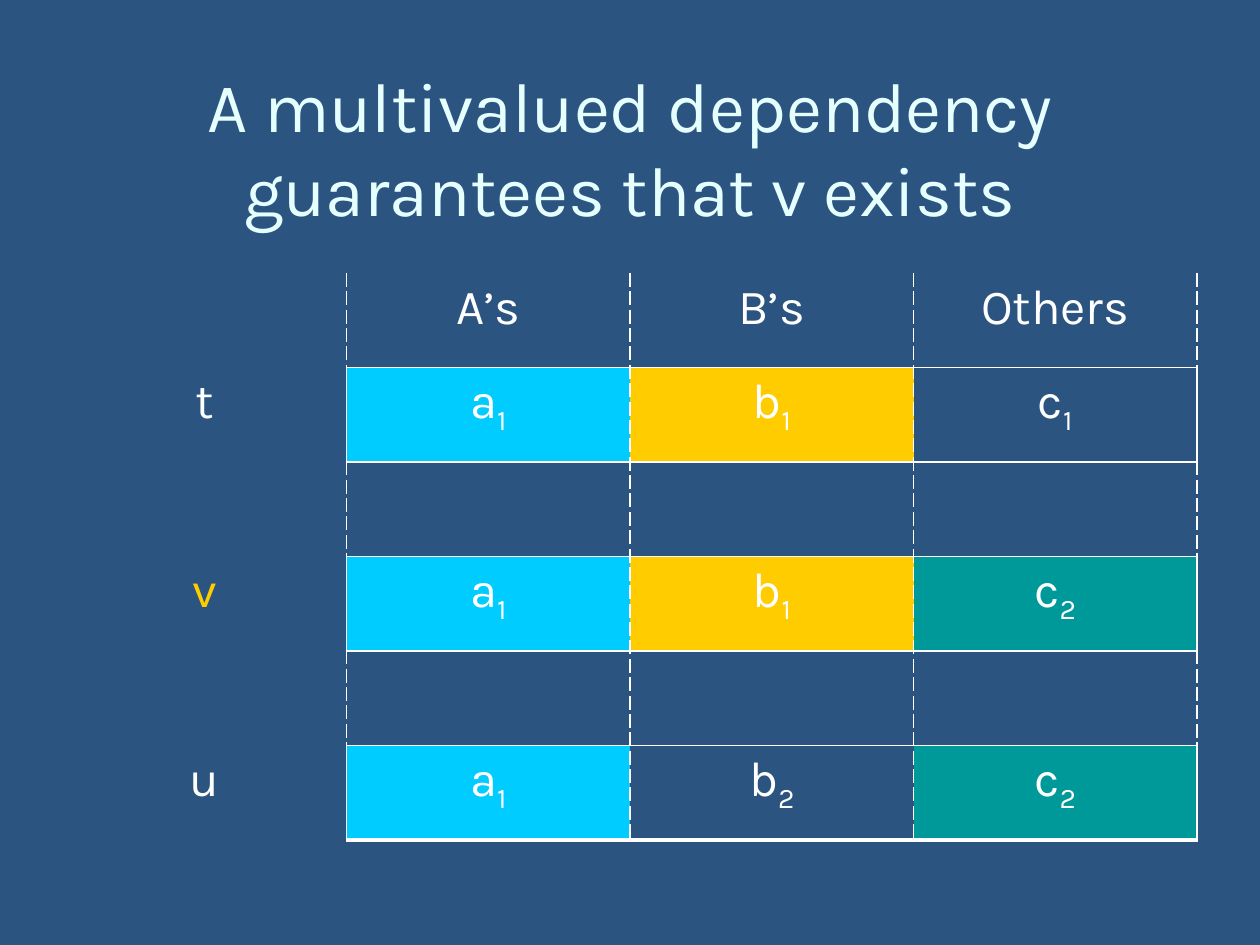
import pptx
import pptx.util
import pptx.dml.color
import pptx.enum.text
import pptx.oxml
import pptx.oxml.ns

Pt = pptx.util.Pt
Color = pptx.dml.color.RGBColor.from_string

THEME = {
    "font": "Karla", "title_size": 40, "cell_size": 28,
    "background": "2B5481", "title": "E5FFFF", "text": "FFFFFF", "line": "FFFFFF",
    "a1": "00CCFF", "b1": "FFCC00", "c2": "009999", "v": "FFCC00",
}
TITLE = "A multivalued dependency guarantees that v exists"
ROWS = [
    ["", "A’s", "B’s", "Others"],
    ["t", "a1", "b1", "c1"],
    ["", "", "", ""],
    ["v", "a1", "b1", "c2"],
    ["", "", "", ""],
    ["u", "a1", "b2", "c2"],
]
COLUMN_WIDTH, ROW_HEIGHT = 162, 54
LAST_ROW, LAST_COLUMN = len(ROWS) - 1, len(ROWS[0]) - 1


def style_run(run, size, color):
    run.font.name = THEME["font"]
    run.font.size = Pt(size)
    run.font.color.rgb = Color(color)


def cell_edges(row, column):
    is_tuple = bool(ROWS[row][0])

    def vertical(edge):
        if edge == 0:
            return None
        solid = is_tuple and edge in (1, LAST_COLUMN + 1)
        return 1, "solid" if solid else "lgDash"

    def horizontal(edge):
        if column == 0 or edge == 0:
            return None
        return 2.25 if edge == LAST_ROW + 1 else 1, "solid"

    return {"L": vertical(column), "R": vertical(column + 1),
            "T": horizontal(row), "B": horizontal(row + 1)}


def draw_edges(cell, edges):
    properties = cell._tc.get_or_add_tcPr()
    namespace = pptx.oxml.ns.nsdecls("a")
    for side, edge in edges.items():
        if edge:
            width, dash = edge
            xml = (f'<a:ln{side} {namespace} w="{Pt(width)}"><a:solidFill>'
                   f'<a:srgbClr val="{THEME["line"]}"/></a:solidFill>'
                   f'<a:prstDash val="{dash}"/></a:ln{side}>')
        else:
            xml = f'<a:ln{side} {namespace} w="0"><a:noFill/></a:ln{side}>'
        properties.append(pptx.oxml.parse_xml(xml))


def write_cell(cell, text):
    paragraph = cell.text_frame.paragraphs[0]
    paragraph.alignment = pptx.enum.text.PP_ALIGN.CENTER
    has_index = text[-1:].isdigit()
    for part in (text[0], text[1:]) if has_index else (text,) if text else ():
        run = paragraph.add_run()
        run.text = part
        style_run(run, THEME["cell_size"], THEME["v"] if text == "v" else THEME["text"])
        if part.isdigit():
            run.font._element.set("baseline", "-25000")


def add_title(slide):
    box = slide.shapes.add_textbox(Pt(36), Pt(30), Pt(648), Pt(108))
    frame = box.text_frame
    frame.word_wrap = True
    frame.vertical_anchor = pptx.enum.text.MSO_ANCHOR.MIDDLE
    frame.text = TITLE
    paragraph = frame.paragraphs[0]
    paragraph.alignment = pptx.enum.text.PP_ALIGN.CENTER
    style_run(paragraph.runs[0], THEME["title_size"], THEME["title"])


def add_tuple_table(slide):
    table = slide.shapes.add_table(
        len(ROWS), len(ROWS[0]), Pt(36), Pt(156),
        Pt(COLUMN_WIDTH * len(ROWS[0])), Pt(ROW_HEIGHT * len(ROWS))).table
    table.first_row = False
    table.horz_banding = False
    for row, texts in enumerate(ROWS):
        table.rows[row].height = Pt(ROW_HEIGHT)
        for column, text in enumerate(texts):
            cell = table.cell(row, column)
            write_cell(cell, text)
            draw_edges(cell, cell_edges(row, column))
            if column and text in THEME:
                cell.fill.solid()
                cell.fill.fore_color.rgb = Color(THEME[text])
            else:
                cell.fill.background()


def main():
    presentation = pptx.Presentation()
    presentation.slide_width, presentation.slide_height = Pt(720), Pt(540)
    slide = presentation.slides.add_slide(presentation.slide_layouts[6])
    slide.background.fill.solid()
    slide.background.fill.fore_color.rgb = Color(THEME["background"])
    add_title(slide)
    add_tuple_table(slide)
    presentation.save("out.pptx")


if __name__ == "__main__":
    main()
